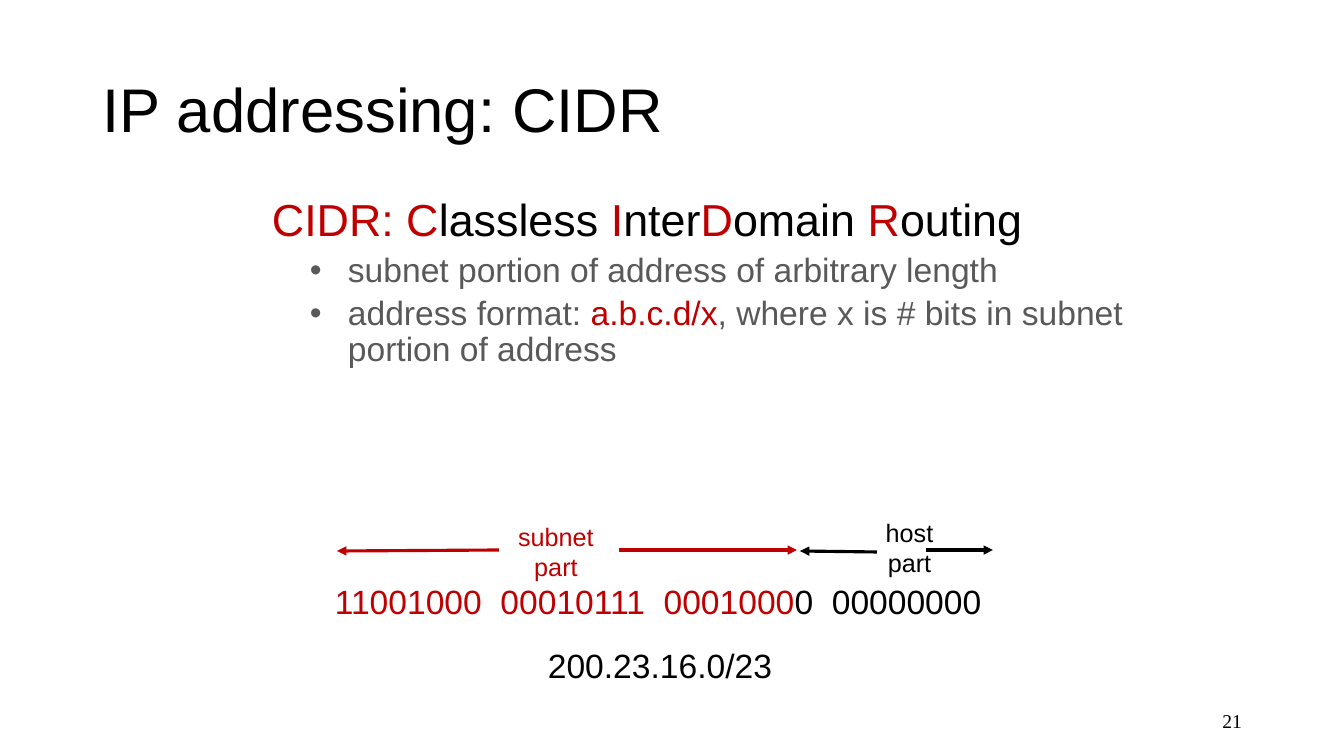
from dataclasses import dataclass

from pptx import Presentation
from pptx.dml.color import RGBColor
from pptx.enum.shapes import MSO_CONNECTOR
from pptx.enum.text import MSO_ANCHOR, MSO_AUTO_SIZE, PP_ALIGN
from pptx.oxml.ns import qn
from pptx.util import Emu, Pt
from lxml.etree import SubElement

EMU_PER_PX = 914400 / 100.8


@dataclass(frozen=True)
class Theme:
    red: str = "C00000"
    black: str = "000000"
    gray: str = "595959"
    sans: str = "Arial"
    serif: str = "Times New Roman"
    title: int = 44
    heading: int = 32
    body: int = 24
    label: int = 18
    page: int = 14
    line: float = 2.25


T = Theme()


def px(n):
    return Emu(round(n * EMU_PER_PX))


def write(p, runs, size=T.body, font=T.sans, align=None, spacing=None, before=0):
    """Fill a paragraph with (text, colour) runs."""
    if align is not None:
        p.alignment = align
    if spacing:
        p.line_spacing = spacing
    p.space_before = Pt(before)
    for text, color in runs:
        r = p.add_run()
        r.text = text
        r.font.size = Pt(size)
        r.font.name = font
        r.font.color.rgb = RGBColor.from_string(color)


def add_bullet(p, margin, char="•"):
    """Give a paragraph a hanging bullet half-way into its margin."""
    pPr = p._p.get_or_add_pPr()
    pPr.set("marL", str(px(margin)))
    pPr.set("indent", str(-px(margin // 2)))
    SubElement(pPr, qn("a:buFont"), typeface=T.sans)
    SubElement(pPr, qn("a:buChar"), char=char)


def add_frame(s, x, y, w, h, wrap=True, anchor=MSO_ANCHOR.TOP):
    tf = s.shapes.add_textbox(px(x), px(y), px(w), px(h)).text_frame
    tf.word_wrap = wrap
    tf.vertical_anchor = anchor
    if not wrap:
        tf.auto_size = MSO_AUTO_SIZE.SHAPE_TO_FIT_TEXT
    return tf


def add_text(s, x, y, w, h, runs, wrap=True, anchor=MSO_ANCHOR.TOP, **fmt):
    tf = add_frame(s, x, y, w, h, wrap, anchor)
    write(tf.paragraphs[0], runs, **fmt)


def add_label(s, x, y, w, h, words, color):
    """Centred label with one word on each line."""
    tf = add_frame(s, x, y, w, h, wrap=False)
    for i, word in enumerate(words):
        p = tf.add_paragraph() if i else tf.paragraphs[0]
        write(p, [(word, color)], size=T.label, align=PP_ALIGN.CENTER)


def add_arrow(s, x1, y1, x2, y2, color):
    c = s.shapes.add_connector(MSO_CONNECTOR.STRAIGHT, px(x1), px(y1), px(x2), px(y2))
    c.line.color.rgb = RGBColor.from_string(color)
    c.line.width = Pt(T.line)
    SubElement(c.line._get_or_add_ln(), qn("a:tailEnd"), type="triangle")
    SubElement(c._element.spPr, qn("a:effectLst"))


def add_body(s):
    tf = add_frame(s, 262, 193, 894, 252)
    heading = [("CIDR: C", T.red), ("lassless ", T.black), ("I", T.red),
               ("nter", T.black), ("D", T.red), ("omain ", T.black),
               ("R", T.red), ("outing", T.black)]
    write(tf.paragraphs[0], heading, size=T.heading, spacing=0.9)
    bullets = [
        [("subnet portion of address of arbitrary length", T.gray)],
        [("address format: ", T.gray), ("a.b.c.d/x", T.red),
         (", where x is # bits in subnet portion of address", T.gray)],
    ]
    for runs in bullets:
        p = tf.add_paragraph()
        p.level = 1
        add_bullet(p, 76)
        write(p, runs, spacing=0.9, before=5)


def add_address_diagram(s):
    # Binary address
    add_text(s, 325, 576, 674, 50,
             [("11001000  00010111  0001000", T.red), ("0  00000000", T.black)],
             wrap=False)
    # Part labels
    add_label(s, 506, 516, 100, 71, ("subnet", "part"), T.red)
    add_label(s, 875, 512, 69, 72, ("host", "part"), T.black)
    # Arrows from each label to the ends of its part
    for ends, color in (((619, 550, 797, 550), T.red),
                        ((499, 550, 337, 551), T.red),
                        ((877, 552, 800, 551), T.black),
                        ((926, 550, 993, 550), T.black)):
        add_arrow(s, *ends, color)
    # CIDR notation
    add_text(s, 538, 640, 247, 51, [("200.23.16.0/23", T.black)], wrap=False)


def main():
    prs = Presentation()
    prs.slide_width, prs.slide_height = px(1344), px(756)
    s = prs.slides.add_slide(prs.slide_layouts[6])

    # Page number and title
    add_text(s, 950, 701, 302, 40, [("21", T.black)], anchor=MSO_ANCHOR.MIDDLE,
             size=T.page, font=T.serif, align=PP_ALIGN.RIGHT)
    add_text(s, 93, 40, 1159, 146, [("IP addressing: CIDR", T.black)],
             anchor=MSO_ANCHOR.MIDDLE, size=T.title, spacing=0.9)

    add_body(s)
    add_address_diagram(s)
    prs.save("out.pptx")


if __name__ == "__main__":
    main()
